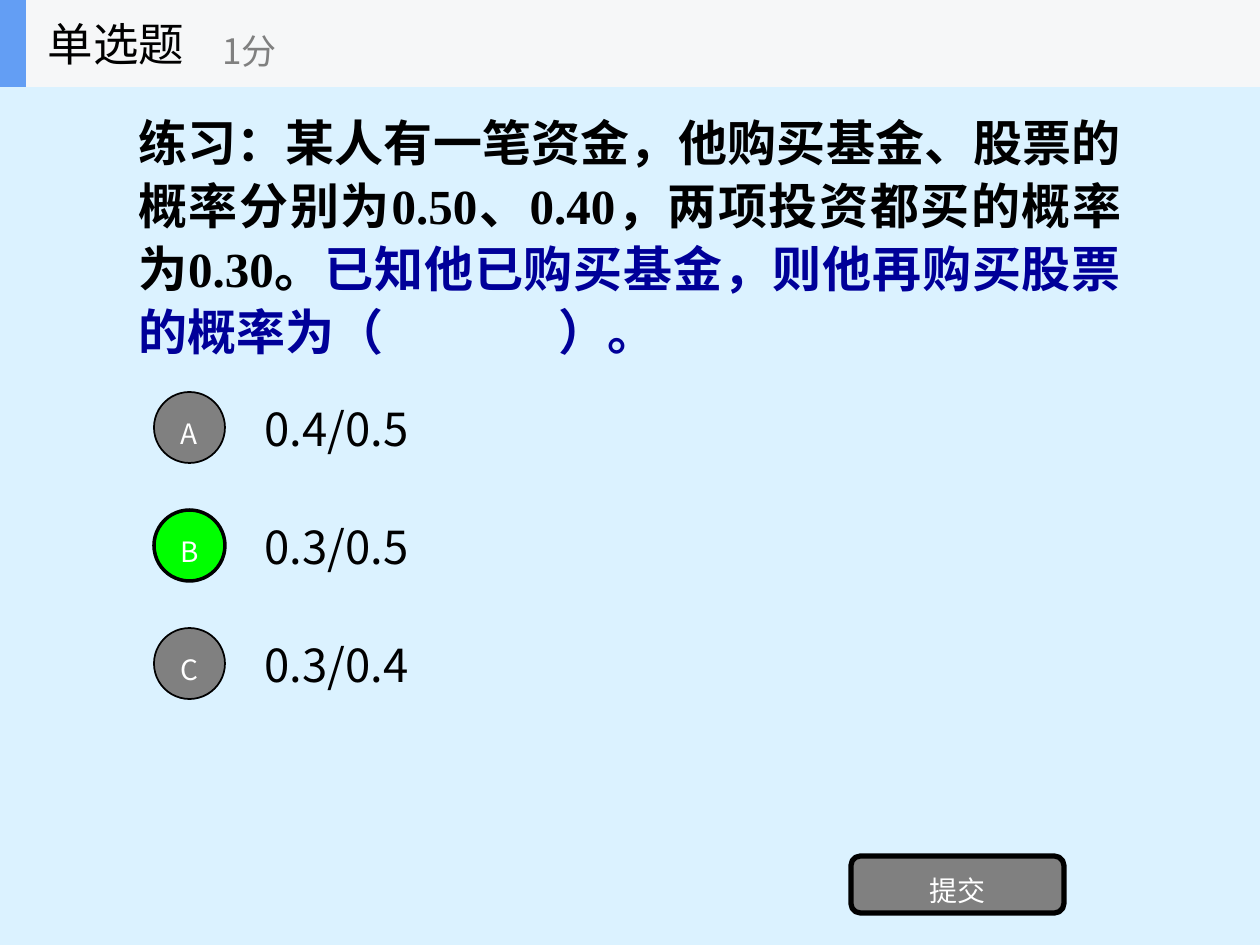
import pptx
import pptx.dml.color
import pptx.enum.shapes
import pptx.enum.text
import pptx.oxml.ns
import pptx.util
from lxml import etree

COLORS = {
    "background": "DBF2FF",
    "band": "F6F7F8",
    "accent": "639EF4",
    "grey": "808080",
    "correct": "00FF00",
    "black": "000000",
    "white": "FFFFFF",
    "question": "000099",
}
SANS = "Noto Sans CJK SC"
SERIF = "Times New Roman"
SHAPES = pptx.enum.shapes.MSO_SHAPE
ALIGN = pptx.enum.text.PP_ALIGN
BLANK_END = 420


def px(length):
    """Turn px (126 to the inch) into EMU."""
    return pptx.util.Emu(round(length * 914400 / 126))


def color(name):
    """Look up a named colour."""
    return pptx.dml.color.RGBColor.from_string(COLORS[name])


def style_paragraph(paragraph, size, ink, align=ALIGN.LEFT, face=SANS, bold=False):
    """Format a whole paragraph, East Asian font included."""
    paragraph.alignment = align
    font = paragraph.font
    font.size, font.name, font.bold = pptx.util.Pt(size), face, bold
    font.color.rgb = color(ink)
    defaults = paragraph._p.pPr.find(pptx.oxml.ns.qn("a:defRPr"))
    etree.SubElement(defaults, pptx.oxml.ns.qn("a:ea"), typeface=SANS)


def set_frame(shape, wrap):
    """Centre the text vertically and return its first paragraph."""
    frame = shape.text_frame
    frame.word_wrap = wrap
    frame.auto_size = pptx.enum.text.MSO_AUTO_SIZE.NONE
    frame.vertical_anchor = pptx.enum.text.MSO_ANCHOR.MIDDLE
    return frame.paragraphs[0]


def add_label(slide, box, text, size, ink, wrap=True):
    """Add a one-paragraph text box."""
    label = slide.shapes.add_textbox(*map(px, box))
    paragraph = set_frame(label, wrap)
    paragraph.text = text
    style_paragraph(paragraph, size, ink)


def add_block(slide, kind, box, fill, line_width=0):
    """Add a filled shape, outlined in black if a line width is given."""
    block = slide.shapes.add_shape(kind, *map(px, box))
    block.shadow.inherit = False
    block.fill.solid()
    block.fill.fore_color.rgb = color(fill)
    if line_width:
        block.line.color.rgb = color("black")
        block.line.width = pptx.util.Pt(line_width)
    else:
        block.line.fill.background()
    return block


def add_button(slide, kind, box, text, fill, line_width):
    """Add an outlined shape with a white caption."""
    button = add_block(slide, kind, box, fill, line_width)
    paragraph = set_frame(button, True)
    paragraph.text = text
    paragraph.line_spacing = 1.35
    style_paragraph(paragraph, 16, "white", ALIGN.CENTER)


def add_header(slide, box):
    """Place the band, its accent, the title and the score."""
    left, top, width, height = box
    add_block(slide, SHAPES.RECTANGLE, box, "band")
    add_block(slide, SHAPES.RECTANGLE, (left, top, 26, height), "accent")
    title = slide.shapes.title
    title.left, title.top = px(left + 35), px(top)
    title.width, title.height = px(262), px(height)
    paragraph = set_frame(title, False)
    paragraph.text = "单选题"
    style_paragraph(paragraph, 26, "black")
    title.element.getparent().append(title.element)
    add_label(slide, (left + 210, top + 15, 315, 71), "1分", 20, "grey", wrap=False)


def add_question(slide, box):
    """Place the question, with a tab as the blank to fill in."""
    question = slide.shapes.add_textbox(*map(px, box))
    paragraph = set_frame(question, True)
    parts = (
        ("练习：某人有一笔资金，他购买基金、股票的概率分别为0.50、0.40，"
         "两项投资都买的概率为0.30。", "black"),
        ("已知他已购买基金，则他再购买股票的概率为（\t）。", "question"),
    )
    for text, ink in parts:
        run = paragraph.add_run()
        run.text = text
        run.font.color.rgb = color(ink)
    paragraph.line_spacing = pptx.util.Pt(36)
    tabs = etree.SubElement(paragraph._p.pPr, pptx.oxml.ns.qn("a:tabLst"))
    etree.SubElement(tabs, pptx.oxml.ns.qn("a:tab"), pos=str(px(BLANK_END)), algn="l")
    style_paragraph(paragraph, 28, "black", ALIGN.JUSTIFY, SERIF, True)


def add_options(slide, box):
    """Place the answers at an equal pitch, the correct one in green."""
    left, top, width, pitch = box
    options = (("A", "0.4/0.5"), ("B", "0.3/0.5"), ("C", "0.3/0.4"))
    for row, (letter, answer) in enumerate(options):
        y = top + row * pitch
        fill, line_width = ("correct", 2) if letter == "B" else ("grey", 1)
        add_label(slide, (left + 98, y, width - 98, 88), answer, 26, "black")
        add_button(slide, SHAPES.OVAL, (left, y + 8, 71, 71), letter, fill, line_width)


def main():
    """Build the quiz slide."""
    deck = pptx.Presentation()
    deck.slide_width, deck.slide_height = px(1260), px(945)
    slide = deck.slides.add_slide(deck.slide_layouts[5])
    slide.background.fill.solid()
    slide.background.fill.fore_color.rgb = color("background")
    add_question(slide, (126, 87, 1008, 295))
    add_options(slide, (154, 384, 980, 118))
    add_button(slide, SHAPES.ROUNDED_RECTANGLE, (851, 856, 213, 57), "提交", "grey", 3)
    add_header(slide, (0, 0, 1260, 87))
    deck.save("out.pptx")


if __name__ == "__main__":
    main()
